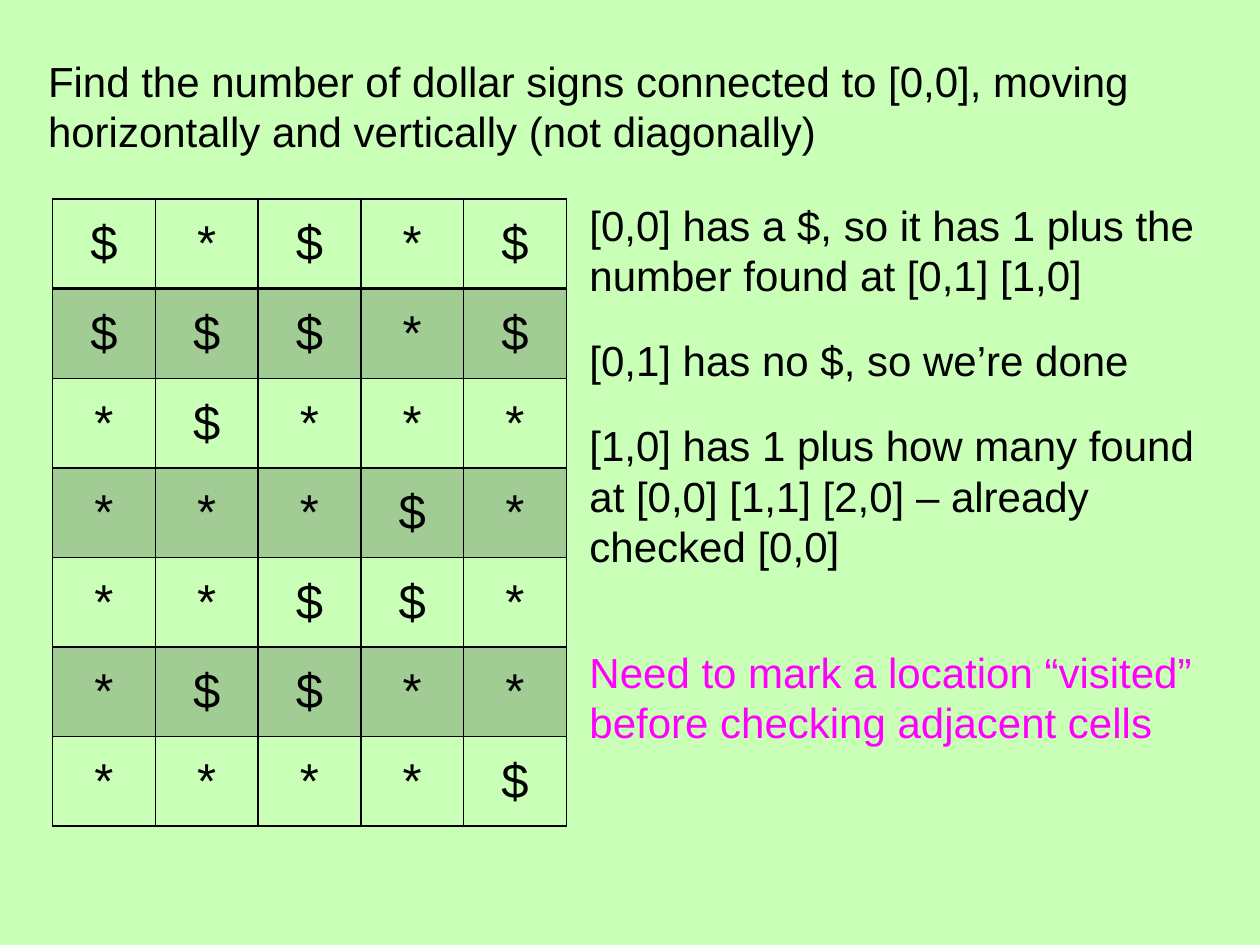
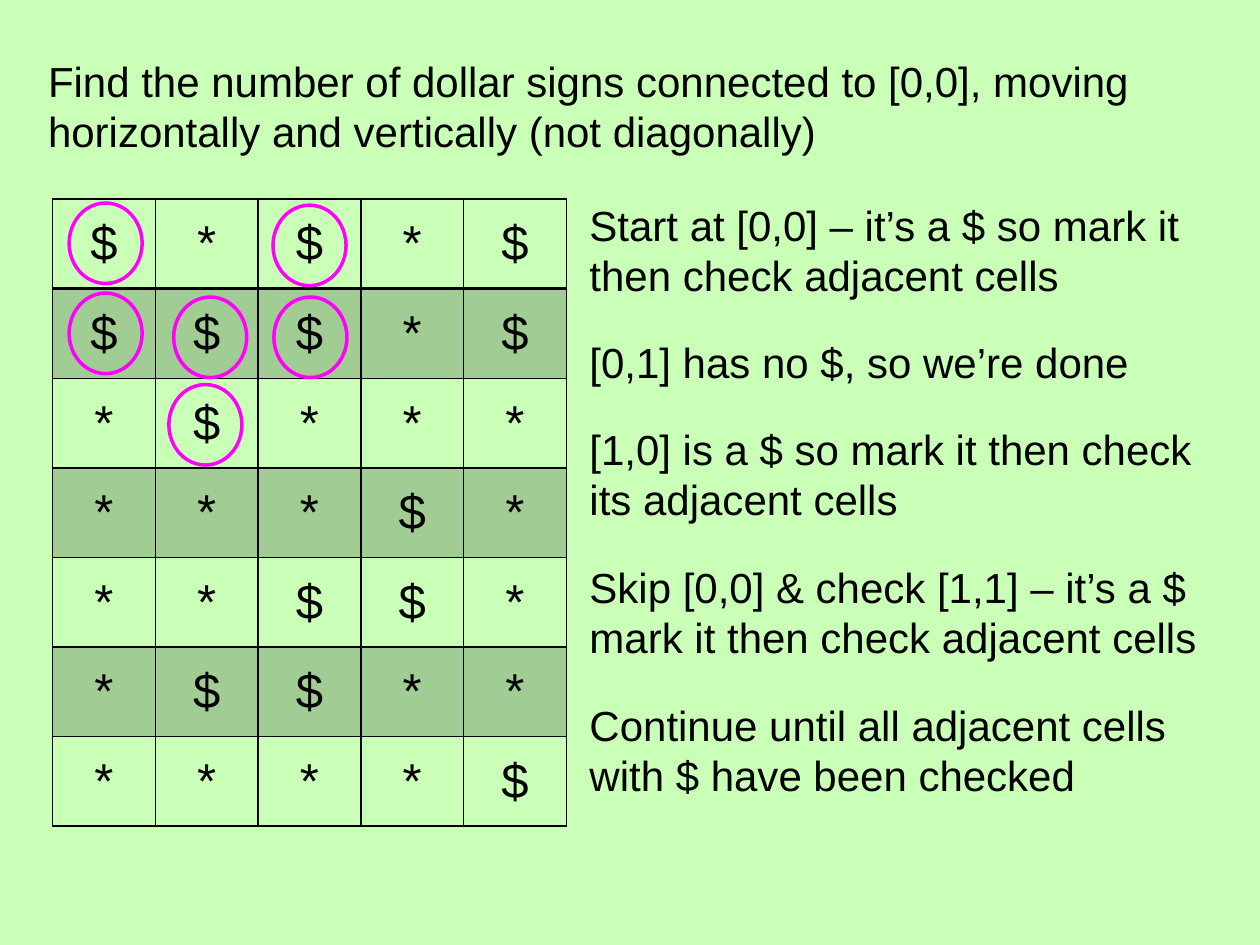
from lxml.etree import SubElement
from pptx import Presentation
from pptx.dml.color import RGBColor
from pptx.enum.shapes import MSO_SHAPE
from pptx.enum.text import MSO_ANCHOR, MSO_AUTO_SIZE, PP_ALIGN
from pptx.oxml.ns import qn
from pptx.util import Pt

COLORS = {"background": "CAFFB8", "ink": "000000", "accent": "FF00FF"}
FONT = "Arial"
TITLE = ("Find the number of dollar signs connected to [0,0], moving "
         "horizontally and vertically (not diagonally)")
GRID = ["$*$*$", "$$$*$", "*$***", "***$*", "**$$*", "*$$**", "****$"]
TABLE_LEFT, TABLE_TOP = 30, 113.75
COLUMN_WIDTH, ROW_HEIGHT = 58.75, 51.2
NOTE_LEFT, NOTE_WIDTH = 329.75, 378
LINE_HEIGHT = 29
CIRCLE_WIDTH, CIRCLE_HEIGHT = 41.75, 46

# Each note: top, number of lines, colour, text
SLIDES = [
    {"notes": [
        (110.25, 2, "ink", "[0,0] has a $, so it has 1 plus the number found at [0,1] [1,0]"),
        (187.5, 1, "ink", "[0,1] has no $, so we’re done"),
        (236.25, 3, "ink", "[1,0] has 1 plus how many found at [0,0] [1,1] [2,0] – "
                           "already checked [0,0]"),
        (365.75, 2, "accent", "Need to mark a location “visited” before checking adjacent cells"),
    ], "circles": []},
    {"notes": [
        (110.25, 2, "ink", "Start at [0,0] – it’s a $ so mark it then check adjacent cells"),
        (188.75, 1, "ink", "[0,1] has no $, so we’re done"),
        (238.5, 2, "ink", "[1,0] is a $ so mark it then check its adjacent cells"),
        (317.25, 2, "ink", "Skip [0,0] & check [1,1] – it’s a $ mark it then check "
                           "adjacent cells"),
        (396, 2, "ink", "Continue until all adjacent cells with $ have been checked"),
    ], "circles": [(39.5, 116), (39.5, 167.5), (99.25, 169.75),
                   (156.5, 169.75), (156, 117.25), (96.5, 219.75)]},
]


def write_text(frame, text, size, color="ink", align=PP_ALIGN.LEFT):
    """Fill a text frame with one formatted paragraph."""
    frame.word_wrap = True
    frame.text = text
    paragraph = frame.paragraphs[0]
    paragraph.alignment = align
    paragraph.font.name = FONT
    paragraph.font.size = Pt(size)
    paragraph.font.color.rgb = RGBColor.from_string(COLORS[color])


def style_cell(cell, row):
    """Draw the borders of a cell and shade every second row."""
    properties = cell._tc.get_or_add_tcPr()
    for side in "LRTB":
        heavy = (row, side) in [(0, "B"), (1, "T")]
        line = SubElement(properties, qn(f"a:ln{side}"), w=str(Pt(2 if heavy else 1)))
        fill = SubElement(line, qn("a:solidFill"))
        SubElement(fill, qn("a:srgbClr"), val=COLORS["ink"])
    if row % 2:
        cell.fill.solid()
        cell.fill.fore_color.rgb = RGBColor.from_string(COLORS["ink"])
        shade = properties.find(qn("a:solidFill")).find(qn("a:srgbClr"))
        SubElement(shade, qn("a:alpha"), val="20000")
    else:
        cell.fill.background()


presentation = Presentation()
presentation.slide_width, presentation.slide_height = Pt(720), Pt(540)
background = presentation.slide_master.background.fill
background.solid()
background.fore_color.rgb = RGBColor.from_string(COLORS["background"])
title_only = presentation.slide_layouts[5]

for content in SLIDES:
    slide = presentation.slides.add_slide(title_only)
    title = slide.shapes.title
    title.left, title.top, title.width, title.height = Pt(20.25), Pt(28), Pt(684), Pt(65.5)
    write_text(title.text_frame, TITLE, 24)
    title.text_frame.auto_size = MSO_AUTO_SIZE.NONE
    title.text_frame.vertical_anchor = MSO_ANCHOR.TOP

    rows, columns = len(GRID), len(GRID[0])
    table = slide.shapes.add_table(
        rows, columns, Pt(TABLE_LEFT), Pt(TABLE_TOP),
        Pt(columns * COLUMN_WIDTH), Pt(rows * ROW_HEIGHT)).table
    table.first_row = table.horz_banding = False
    for column in table.columns:
        column.width = Pt(COLUMN_WIDTH)
    for row, symbols in enumerate(GRID):
        table.rows[row].height = Pt(ROW_HEIGHT)
        for column, symbol in enumerate(symbols):
            cell = table.cell(row, column)
            write_text(cell.text_frame, symbol, 28, align=PP_ALIGN.CENTER)
            cell.vertical_anchor = MSO_ANCHOR.MIDDLE
            style_cell(cell, row)

    for top, lines, color, text in content["notes"]:
        note = slide.shapes.add_textbox(
            Pt(NOTE_LEFT), Pt(top), Pt(NOTE_WIDTH), Pt(lines * LINE_HEIGHT + 7.2))
        write_text(note.text_frame, text, 24, color)

    for left, top in content["circles"]:
        circle = slide.shapes.add_shape(
            MSO_SHAPE.OVAL, Pt(left), Pt(top), Pt(CIRCLE_WIDTH), Pt(CIRCLE_HEIGHT))
        circle.shadow.inherit = False
        circle.fill.background()
        circle.line.color.rgb = RGBColor.from_string(COLORS["accent"])
        circle.line.width = Pt(2)

presentation.save("out.pptx")
